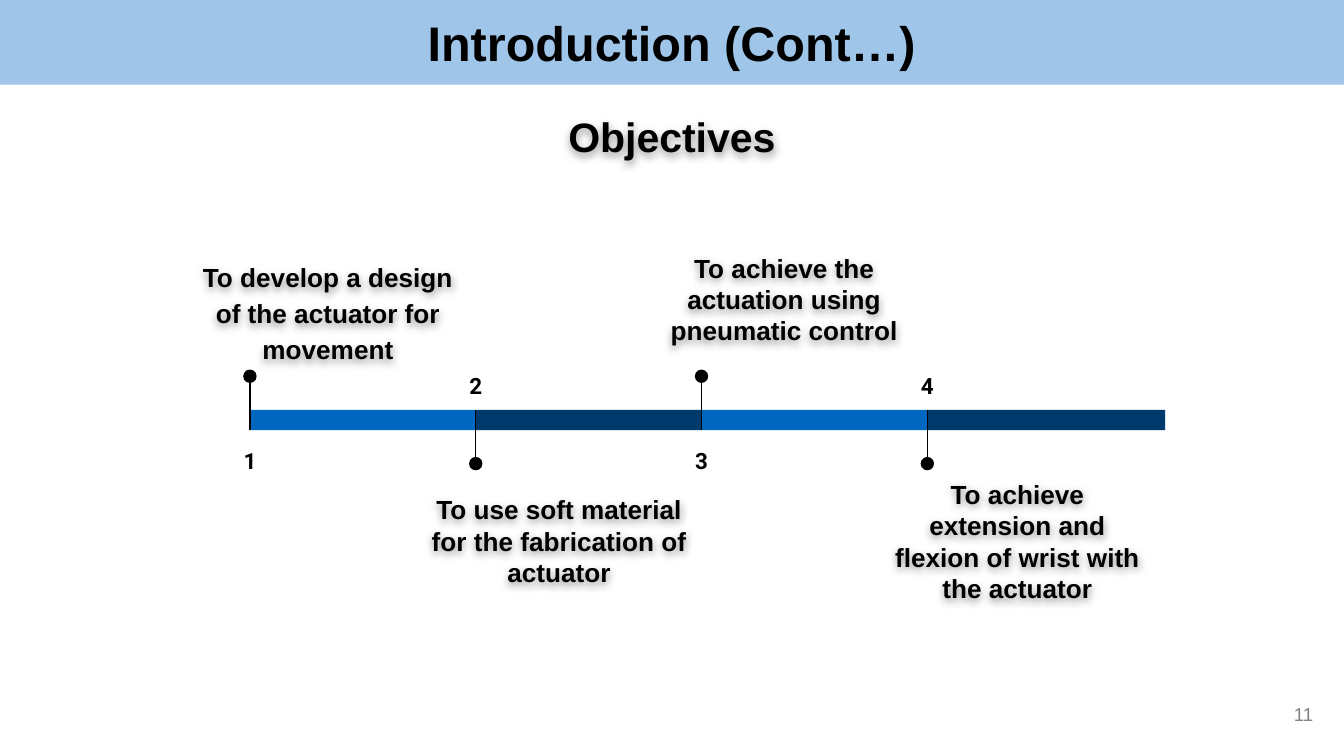
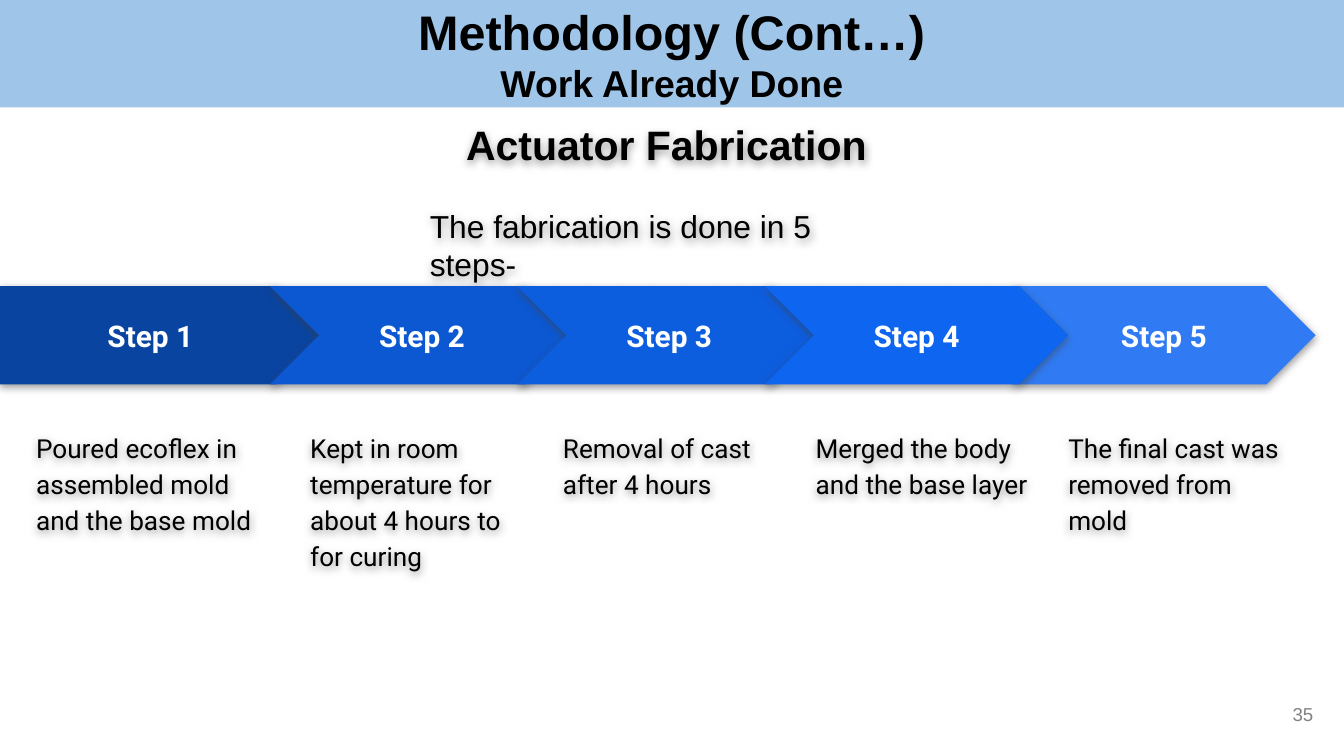
from pptx import Presentation
from pptx.dml.color import RGBColor
from pptx.enum.shapes import MSO_CONNECTOR, MSO_SHAPE
from pptx.enum.text import MSO_ANCHOR, PP_ALIGN
from pptx.oxml.ns import qn
from pptx.util import Inches, Pt
from lxml import etree

COLORS = {
    "text": "000000",
    "white": "FFFFFF",
    "band": "9FC5E8",
    "number": "818181",
    "shadow": "414141",
    "bar_light": "0067C0",
    "bar_dark": "00396B",
    "step_1": "0944A1",
    "step_2": "0C58D3",
    "step_3": "0D5DDF",
    "step_4": "0E65F0",
    "step_5": "307BF3",
}
HEADING_FONT = "Arial"
LABEL_FONT = "Roboto"

# text, left offset from the stem, top relative to the bar, width, line spacing
OBJECTIVES = [
    ("To develop a design of the actuator for movement", -0.49, -1.25, 2.14, 1.15),
    ("To use soft material for the fabrication of actuator", -0.45, 0.46, 2.14, 1),
    ("To achieve the actuation using pneumatic control", -0.36, -1.34, 1.95, 1),
    ("To achieve extension and flexion of wrist with the actuator", -0.4, 0.46, 2.14, 1),
]
STEPS = [
    "Poured ecoflex in assembled mold and the base mold",
    "Kept in room temperature for about 4 hours to for curing",
    "Removal of cast after 4 hours",
    "Merged the body and the base layer",
    "The final cast was removed from mold",
]


def color(name):
    return RGBColor.from_string(COLORS[name])


def add_shadow(shape):
    """Give the shape, or the text of an unfilled box, a soft shadow below."""
    shape.shadow.inherit = False
    effects = shape._element.spPr.find(qn("a:effectLst"))
    outer = etree.SubElement(effects, qn("a:outerShdw"), blurRad=str(Pt(4.5)),
                             dist=str(Pt(1.5)), dir="5400000", algn="bl", rotWithShape="0")
    tint = etree.SubElement(outer, qn("a:srgbClr"), val=COLORS["shadow"])
    etree.SubElement(tint, qn("a:alpha"), val="53000")


def write(shape, lines, size, font=HEADING_FONT, fill="text", bold=False,
          align=PP_ALIGN.LEFT, anchor=MSO_ANCHOR.TOP, spacing=1):
    """Write lines into the shape; size is one number or one for each line."""
    frame = shape.text_frame
    frame.word_wrap = True
    frame.vertical_anchor = anchor
    frame.margin_left = frame.margin_right = Inches(0.1)
    frame.margin_top = frame.margin_bottom = Inches(0.1)
    frame.text = "\n".join(lines)
    sizes = size if isinstance(size, list) else [size] * len(lines)
    for paragraph, points in zip(frame.paragraphs, sizes):
        paragraph.alignment = align
        paragraph.line_spacing = float(spacing)
        paragraph.font.name = font
        paragraph.font.size = Pt(points)
        paragraph.font.bold = bold
        paragraph.font.color.rgb = color(fill)


def add_text(slide, box, text, size, shadow=False, **style):
    shape = slide.shapes.add_textbox(*map(Inches, box))
    write(shape, [text], size, **style)
    if shadow:
        add_shadow(shape)


def add_filled(slide, kind, box, fill):
    shape = slide.shapes.add_shape(kind, *map(Inches, box))
    shape.shadow.inherit = False
    shape.fill.solid()
    shape.fill.fore_color.rgb = color(fill)
    shape.line.fill.background()
    return shape


def add_stem(slide, x, start, end):
    """Draw a vertical line that ends in a dot at start."""
    stem = slide.shapes.add_connector(
        MSO_CONNECTOR.STRAIGHT, Inches(x), Inches(start), Inches(x), Inches(end))
    stem.line.color.rgb = color("text")
    stem.line.width = Pt(0.75)
    etree.SubElement(stem._element.spPr, qn("a:effectLst"))
    add_filled(slide, MSO_SHAPE.OVAL, (x - 0.05, start - 0.05, 0.1, 0.1), "text")


def add_frame(presentation, title_lines, title_sizes, band_height, number):
    """Add a slide with its title band and slide number."""
    slide = presentation.slides.add_slide(presentation.slide_layouts[6])
    band = add_filled(slide, MSO_SHAPE.RECTANGLE, (0, 0, 10, band_height), "band")
    write(band, title_lines, title_sizes, bold=True,
          align=PP_ALIGN.CENTER, anchor=MSO_ANCHOR.MIDDLE)
    add_text(slide, (9.27, 5.1, 0.6, 0.43), number, 10, fill="number",
             align=PP_ALIGN.RIGHT, anchor=MSO_ANCHOR.MIDDLE)
    return slide


def add_timeline(slide, left, top, width):
    """Alternate the objectives above and below a bar with its top left here."""
    bar_height = 0.15
    pitch = 1.68
    for index, (text, offset, rise, text_width, spacing) in enumerate(OBJECTIVES):
        x = left + index * pitch
        above = index % 2 == 0
        last = index == len(OBJECTIVES) - 1
        bar_width = left + width - x if last else pitch
        add_filled(slide, MSO_SHAPE.RECTANGLE, (x, top, bar_width, bar_height),
                   "bar_light" if above else "bar_dark")
        if above:
            add_stem(slide, x, top - 0.25, top + bar_height)
        else:
            add_stem(slide, x, top + 0.4, top)
        number_top = top + bar_height if above else top - 0.41
        add_text(slide, (x - 0.41, number_top, 0.82, 0.41), str(index + 1), 12,
                 font=LABEL_FONT, bold=True, align=PP_ALIGN.CENTER, spacing=1.15)
        add_text(slide, (x + offset, top + rise, text_width, 1.03), text, 14,
                 shadow=True, bold=True, align=PP_ALIGN.CENTER,
                 anchor=MSO_ANCHOR.MIDDLE, spacing=spacing)


def add_process(slide, left, top):
    """Set the steps as a row of arrows, each with its description below."""
    arrows = [(MSO_SHAPE.PENTAGON, 0, 2.42, 0.17, 1.93)]
    arrows += [(MSO_SHAPE.CHEVRON, 2.01 + 1.84 * i, 2.26, 2.21 + 1.88 * i, 1.78)
               for i in range(len(STEPS) - 1)]
    for index in (0, 1, 2, 4, 3):  # the fourth arrow lies over the fifth
        kind, arrow_left, arrow_width, text_left, text_width = arrows[index]
        number = index + 1
        arrow = add_filled(slide, kind, (left + arrow_left, top, arrow_width, 0.73),
                           f"step_{number}")
        arrow.adjustments[0] = 0.5
        add_shadow(arrow)
        write(arrow, [f"Step {number}"], 16, font=LABEL_FONT, fill="white",
              bold=True, align=PP_ALIGN.CENTER, anchor=MSO_ANCHOR.MIDDLE)
        add_text(slide, (left + text_left, top + 0.95, text_width, 2.04), STEPS[index], 14,
                 shadow=True, font=LABEL_FONT, spacing=1.15)


def add_objectives_slide(presentation):
    slide = add_frame(presentation, ["Introduction (Cont…)"], 26, 0.63, "11")
    add_text(slide, (3, 0.73, 4, 0.57), "Objectives", 22, shadow=True, bold=True,
             align=PP_ALIGN.CENTER, anchor=MSO_ANCHOR.MIDDLE)
    add_timeline(slide, 1.86, 3.05, 6.81)


def add_fabrication_slide(presentation):
    slide = add_frame(presentation, ["Methodology (Cont…)", "Work Already Done"],
                      [26, 20], 0.8, "35")
    add_text(slide, (3.37, 0.79, 3.26, 0.57), "Actuator Fabrication", 22,
             shadow=True, bold=True)
    add_text(slide, (3.1, 1.44, 3.7, 0.49), "The fabrication is done in 5 steps-", 17,
             shadow=True)
    add_process(slide, 0, 2.13)


def main():
    presentation = Presentation()
    presentation.slide_width = Inches(10)
    presentation.slide_height = presentation.slide_width * 9 // 16
    add_objectives_slide(presentation)
    add_fabrication_slide(presentation)
    presentation.save("out.pptx")


if __name__ == "__main__":
    main()
